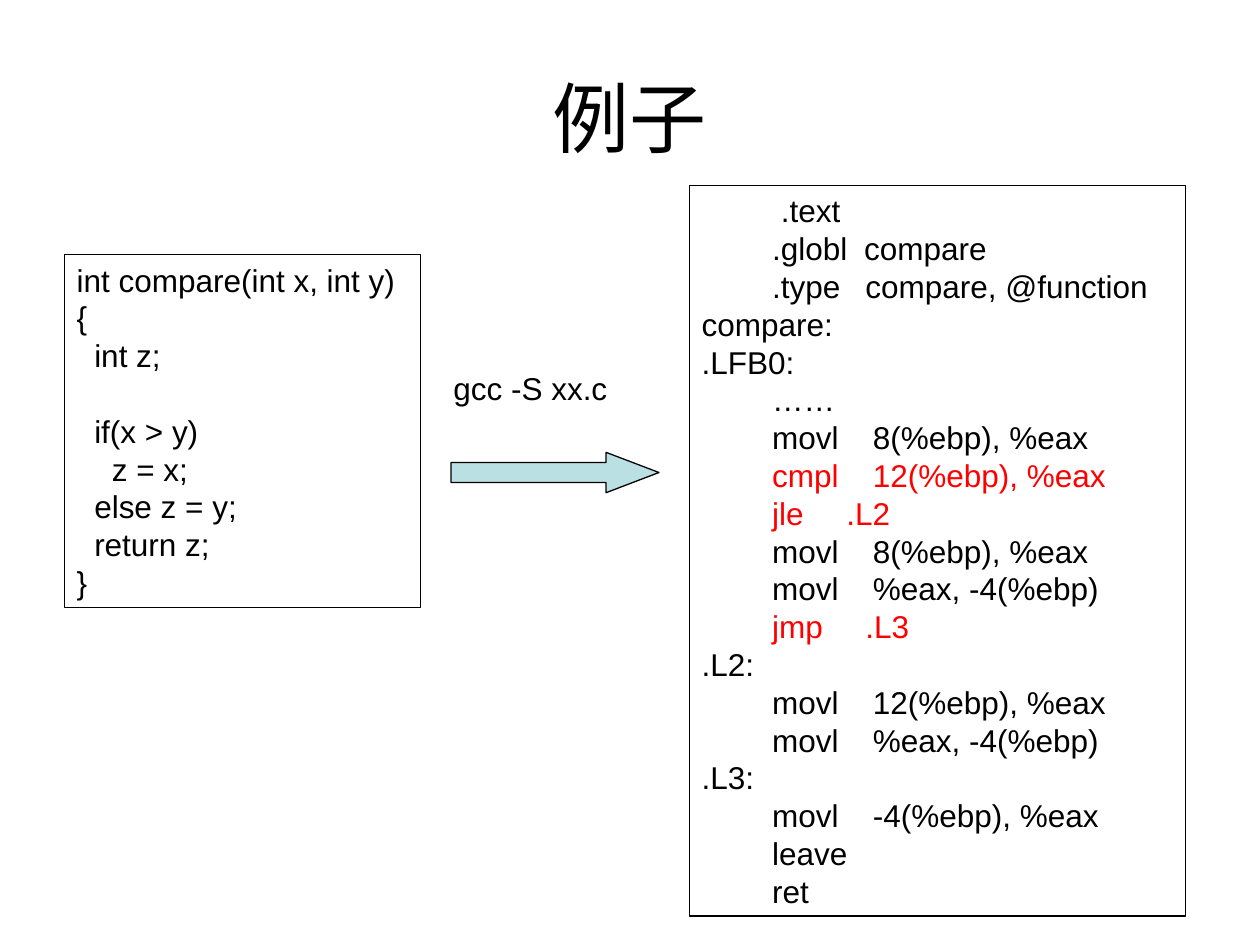
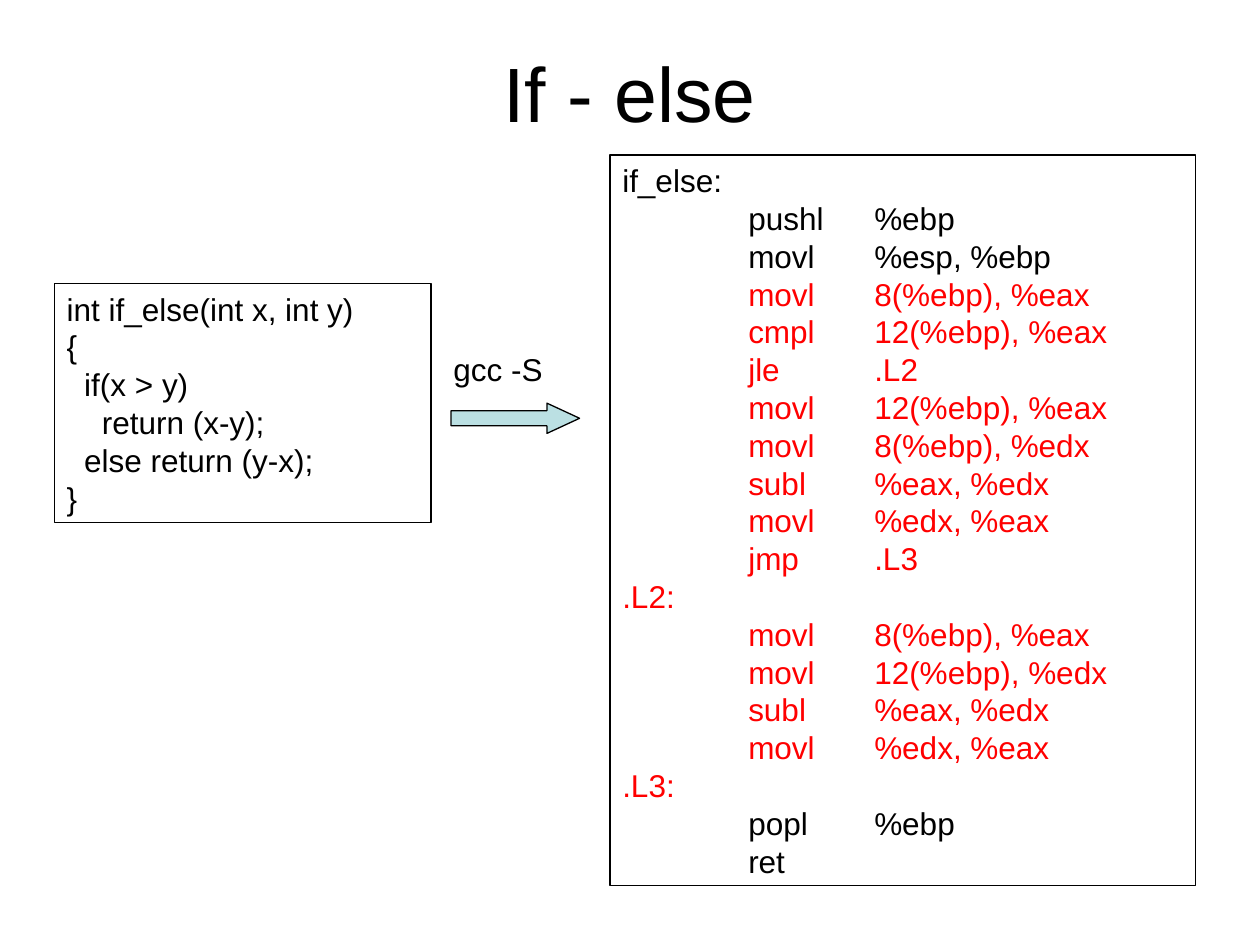
from pptx import Presentation
from pptx.dml.color import RGBColor
from pptx.enum.shapes import MSO_SHAPE as Shape
from pptx.enum.text import MSO_ANCHOR as Anchor, MSO_AUTO_SIZE as AutoSize, PP_ALIGN as Align
from pptx.oxml.ns import qn
from pptx.util import Inches, Pt
from lxml import etree

COLORS = {"ink": "000000", "accent": "FF0000", "arrow": "BBE0E3"}
FONT = "Arial"
LINE_PITCH = Pt(21.6)
FRAME = {
    "word_wrap": True,
    "margin_left": Inches(0.1), "margin_right": Inches(0.1),
    "margin_top": Inches(0.05), "margin_bottom": Inches(0.05),
}
SOURCE_STOPS = (0.14, 0.28)


def assign(target, values):
    for name, value in values.items():
        setattr(target, name, value)


def color(name):
    return RGBColor.from_string(COLORS[name])


class SlideWriter:
    """Holds the shared style and the slide being filled."""

    def __init__(self, deck):
        self.deck = deck
        self.page = None

    def new_page(self):
        self.page = self.deck.slides.add_slide(self.deck.slide_layouts[6])

    def span(self, para, text, size=18, ink="ink"):
        span = para.add_run()
        span.text = text
        assign(span.font, {"name": FONT, "size": Pt(size)})
        span.font.color.rgb = color(ink)

    def text_box(self, at, **frame_format):
        box = self.page.shapes.add_textbox(*map(Inches, at))
        assign(box.text_frame, FRAME | frame_format)
        return box

    def outline(self, shape):
        shape.line.color.rgb = color("ink")
        shape.line.width = Pt(0.74)

    def tab_stops(self, para, stops):
        properties = para._p.get_or_add_pPr()
        tabs = etree.SubElement(properties, qn("a:tabLst"))
        for stop in stops:
            etree.SubElement(tabs, qn("a:tab"), pos=str(Inches(stop)), algn="l")

    def title(self, text, height):
        box = self.text_box((0.5, 0.3, 9, height), vertical_anchor=Anchor.MIDDLE)
        para = box.text_frame.paragraphs[0]
        para.alignment = Align.CENTER
        self.span(para, text, size=44)

    def label(self, text, at):
        box = self.text_box(at, auto_size=AutoSize.SHAPE_TO_FIT_TEXT)
        para = box.text_frame.paragraphs[0]
        para.line_spacing = LINE_PITCH
        self.span(para, text)

    def code(self, lines, at, stops, red=(), gap_before=(), own_stops=None):
        """Outlined listing; red, gap_before and own_stops refer to line numbers."""
        box = self.text_box(at, auto_size=AutoSize.SHAPE_TO_FIT_TEXT)
        self.outline(box)
        frame = box.text_frame
        for number, line in enumerate(lines):
            para = frame.add_paragraph() if number else frame.paragraphs[0]
            para.line_spacing = LINE_PITCH
            if number in gap_before:
                para.space_before = LINE_PITCH
            self.tab_stops(para, (own_stops or {}).get(number, stops))
            self.span(para, line, ink="accent" if number in red else "ink")

    def arrow(self, at, head):
        arrow = self.page.shapes.add_shape(Shape.RIGHT_ARROW, *map(Inches, at))
        arrow.shadow.inherit = False
        arrow.adjustments[0], arrow.adjustments[1] = 0.5, head
        arrow.fill.solid()
        arrow.fill.fore_color.rgb = color("arrow")
        self.outline(arrow)


deck = Presentation()
deck.slide_width, deck.slide_height = Inches(10), Inches(7.5)
writer = SlideWriter(deck)

# Slide 1: compare function and its assembly
writer.new_page()
writer.title("例子", 1.25)
writer.code(
    ["int compare(int x, int y)", "{", "\tint z;", "\tif(x > y)", "\t\tz = x;",
     "\telse z = y;", "\treturn z;", "}"],
    (0.51, 2.02, 2.83, 2.8), SOURCE_STOPS, gap_before={3})
writer.code(
    ["\t.text", "\t.globl\tcompare", "\t.type\tcompare, @function", "compare:", ".LFB0:",
     "\t……",
     "\tmovl\t8(%ebp), %eax",
     "\tcmpl\t12(%ebp), %eax",
     "\tjle\t.L2",
     "\tmovl\t8(%ebp), %eax",
     "\tmovl\t%eax, -4(%ebp)",
     "\tjmp\t.L3",
     ".L2:",
     "\tmovl\t12(%ebp), %eax",
     "\tmovl\t%eax, -4(%ebp)",
     ".L3:",
     "\tmovl\t-4(%ebp), %eax",
     "\tleave", "\tret"],
    (5.47, 1.47, 3.94, 5.8), (0.56, 1.36), red={7, 8, 11},
    own_stops={0: (0.63,), 1: (0.56, 1.29), 2: (0.56, 1.3), 8: (0.56, 1.15), 11: (0.56, 1.3)})
writer.arrow((3.58, 3.59, 1.65, 0.32), 1.31)
writer.label("gcc -S xx.c", (3.5, 2.88, 1.57, 0.4))

# Slide 2: if-else function and its assembly
writer.new_page()
writer.title("If - else", 0.85)
writer.code(
    ["if_else:",
     "\tpushl\t%ebp",
     "\tmovl\t%esp, %ebp",
     "\tmovl\t8(%ebp), %eax",
     "\tcmpl\t12(%ebp), %eax",
     "\tjle\t.L2",
     "\tmovl\t12(%ebp), %eax",
     "\tmovl\t8(%ebp), %edx",
     "\tsubl\t%eax, %edx",
     "\tmovl\t%edx, %eax",
     "\tjmp\t.L3",
     ".L2:",
     "\tmovl\t8(%ebp), %eax",
     "\tmovl\t12(%ebp), %edx",
     "\tsubl\t%eax, %edx",
     "\tmovl\t%edx, %eax",
     ".L3:",
     "\tpopl\t%ebp",
     "\tret"],
    (4.84, 1.23, 4.65, 5.8), (1, 2), red=range(3, 17))
writer.code(
    ["int if_else(int x, int y)", "{", "\tif(x > y)", "\t\treturn (x-y);",
     "\telse return (y-x);", "}"],
    (0.43, 2.25, 2.99, 1.9), SOURCE_STOPS)
writer.arrow((3.58, 3.2, 1.02, 0.24), 1.08)
writer.label("gcc -S", (3.5, 2.73, 1.18, 0.4))

deck.save("out.pptx")
